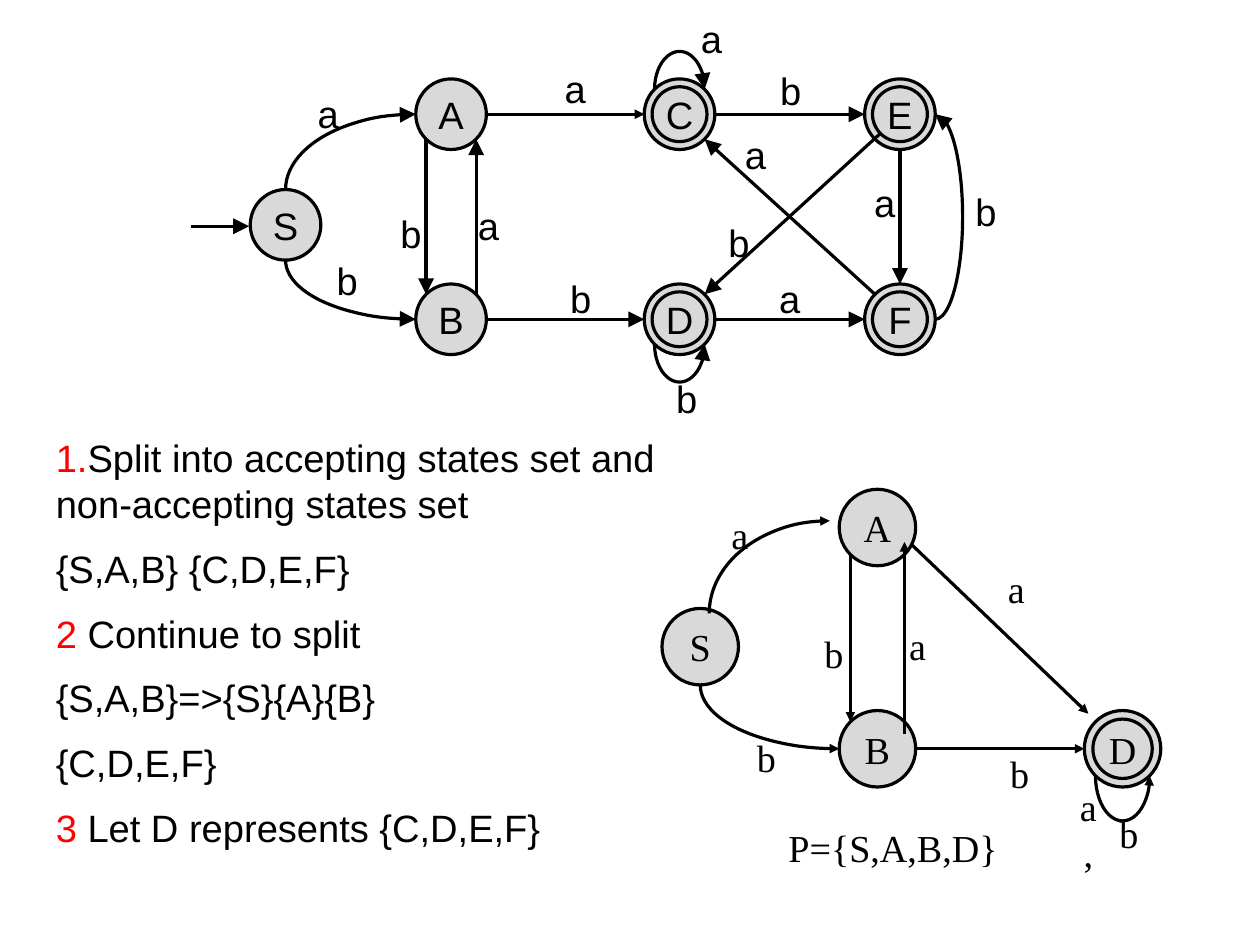
"""Build the slide on minimising a finite automaton: full graph, steps, reduced graph."""
from lxml.etree import SubElement
from pptx import Presentation
from pptx.dml.color import RGBColor
from pptx.enum.shapes import MSO_CONNECTOR as Link, MSO_SHAPE as Shape
from pptx.enum.text import MSO_ANCHOR as Anchor, MSO_AUTO_SIZE as AutoSize, PP_ALIGN as Align
from pptx.oxml.ns import qn
from pptx.util import Cm, Pt

BLACK, RED, GREY = "000000", "FF0000", "D9D9D9"

FULL = {
    "font": "Arial", "size": 1.57, "ring": 1.22, "head": "lg", "accepting": "CDEF",
    "states": {"S": (6.35, 5), "A": (10.03, 2.54), "B": (10.03, 7.1),
               "C": (15.11, 2.54), "D": (15.11, 7.1),
               "E": (20.01, 2.54), "F": (20.01, 7.1)},
    "lines": [((4.24, 5.03), (5.54, 5.03)), ("B ne", "A se"), ("A sw", "B nw"),
              ("B e", "D w"), ("D e", "F w"), ("C e", "E w"), ("E s", "F n"),
              ("F nw", "C se"), ((19.56, 2.98), "D ne")],
    "small lines": [("A e", "C w")],
    "bends": [("S n", "A w", "up"), ("S s", "B w", "down")],
    "loops": [("C nw", "C ne", "over", 0.84), ("D sw", "D se", "under", 0.84),
              ("F e", "E e", "right", 0.61)],
    "labels": {"a": [(15.82, 0.86), (7.3, 2.51), (10.86, 5), (12.79, 1.96),
                     (19.67, 4.5), (17.56, 6.63), (16.8, 3.43)],
               "b": [(21.92, 4.7), (7.72, 6.23), (9.14, 5.18), (12.91, 6.63),
                     (17.58, 2.01), (15.27, 8.85), (16.43, 5.38)]},
}
REDUCED = {
    "font": "Times New Roman", "size": 1.7, "ring": 1.32, "head": "med", "accepting": "D",
    "states": {"S": (15.57, 14.38), "A": (19.51, 11.73), "B": (19.51, 16.65),
               "D": (24.96, 16.65)},
    "lines": [((20.11, 16.32), (20.11, 12.05)), ("A sw", "B nw"), ("B e", "D w"),
              ((20.27, 12.11), (24.2, 15.87))],
    "small lines": [],
    "bends": [((15.77, 13.64), (18.45, 11.58), "up"), ("S s", "B w", "down")],
    "loops": [("D sw", "D se", "under", 1)],
    "labels": {"a": [(16.45, 11.88), (20.4, 14.35), (22.6, 13.08)],
               "b": [(17.04, 16.83), (18.54, 14.53), (22.67, 17.2), (25.1, 18.52)],
               "a,": [(24.2, 18.44)]},
}
STEPS = [("1.", "Split into accepting states set and non-accepting states set"),
         ("", "{S,A,B} {C,D,E,F}"),
         ("2 ", "Continue to split"),
         ("", "{S,A,B}=>{S}{A}{B}"),
         ("", "{C,D,E,F}"),
         ("3", " Let D represents {C,D,E,F}")]
RESULT = "P={S,A,B,D}"

SITES = {"n": (0, -1), "s": (0, 1), "e": (1, 0), "w": (-1, 0),
         "ne": (0.71, -0.71), "nw": (-0.71, -0.71), "se": (0.71, 0.71), "sw": (-0.71, 0.71)}
SWEEPS = {"up": (180, 270, "tailEnd"), "down": (90, 180, "headEnd"),
          "over": (180, 0, "tailEnd"), "under": (0, 180, "headEnd"),
          "right": (270, 90, "headEnd")}


def rgb(color):
    return RGBColor.from_string(color)


def style(run, font, color=BLACK):
    run.font.name, run.font.size = font, Pt(24)
    run.font.color.rgb = rgb(color)


def write(frame, text, font, align=Align.CENTER):
    frame.text = text
    frame.paragraphs[0].alignment = align
    style(frame.paragraphs[0].runs[0], font)


def around(center, width, height):
    x, y = center
    return Cm(x - width / 2), Cm(y - height / 2), Cm(width), Cm(height)


def circle(slide, center, size):
    disc = slide.shapes.add_shape(Shape.OVAL, *around(center, size, size))
    disc.shadow.inherit = False
    disc.fill.solid()
    disc.fill.fore_color.rgb = rgb(GREY)
    disc.line.color.rgb, disc.line.width = rgb(BLACK), Pt(2)
    return disc


def add_arrowhead(edge, end, size):
    edge.line.color.rgb, edge.line.width = rgb(BLACK), Pt(2)
    outline = edge.element.spPr.find(qn("a:ln"))
    SubElement(outline, qn(f"a:{end}"), type="triangle", w=size, len=size)


def straight(slide, start, end, head):
    edge = slide.shapes.add_connector(Link.STRAIGHT, *map(Cm, start + end))
    add_arrowhead(edge, "tailEnd", head)
    SubElement(edge.element.spPr, qn("a:effectLst"))


def arc(slide, center, rx, ry, turn, head):
    first, last, end = SWEEPS[turn]
    edge = slide.shapes.add_shape(Shape.ARC, *around(center, 2 * rx, 2 * ry))
    edge.adjustments[0], edge.adjustments[1] = first * 0.6, last * 0.6
    edge.shadow.inherit = False
    edge.fill.background()
    add_arrowhead(edge, end, head)


def draw_graph(slide, graph):
    font, head, states = graph["font"], graph["head"], graph["states"]

    def locate(place):
        if isinstance(place, tuple):
            return place
        state, site = place.split()
        return tuple(c + d * graph["size"] / 2 for c, d in zip(states[state], SITES[site]))

    for state, center in states.items():
        disc = circle(slide, center, graph["size"])
        if state in graph["accepting"]:
            disc = circle(slide, center, graph["ring"])
        frame = disc.text_frame
        frame.word_wrap, frame.vertical_anchor = False, Anchor.MIDDLE
        write(frame, state, font)

    for key, size in (("lines", head), ("small lines", "med")):
        for start, end in graph[key]:
            straight(slide, locate(start), locate(end), size)
    for start, end, turn in graph["bends"]:
        (x1, y1), (x2, y2) = locate(start), locate(end)
        arc(slide, (x2, y1), x2 - x1, abs(y2 - y1), turn, head)
    for start, end, turn, depth in graph["loops"]:
        (x1, y1), (x2, y2) = locate(start), locate(end)
        middle = (x1 + x2) / 2, (y1 + y2) / 2
        radii = (depth, abs(y2 - y1) / 2) if turn == "right" else ((x2 - x1) / 2, depth)
        arc(slide, middle, *radii, turn, head)

    for symbol, centers in graph["labels"].items():
        for center in centers:
            frame = slide.shapes.add_textbox(*around(center, 1, 1.27)).text_frame
            frame.word_wrap, frame.vertical_anchor = True, Anchor.MIDDLE
            write(frame, symbol, font)


def set_margins(frame):
    frame.word_wrap, frame.auto_size = True, AutoSize.NONE
    frame.margin_left = frame.margin_right = Cm(0.28)
    frame.margin_top = frame.margin_bottom = Cm(0.15)


def write_steps(body):
    body.left, body.top, body.width, body.height = Cm(0.96), Cm(9.52), Cm(14.94), Cm(10.03)
    frame = body.text_frame
    set_margins(frame)
    for index, (number, step) in enumerate(STEPS):
        line = frame.add_paragraph() if index else frame.paragraphs[0]
        line.space_before = Pt(12 if index else 0)
        for text, color in ((number, RED), (step, BLACK)):
            if text:
                run = line.add_run()
                run.text = text
                style(run, "Arial", color)
        layout = line._p.get_or_add_pPr()
        layout.set("marL", "0")
        layout.set("indent", "0")
        SubElement(layout, qn("a:buNone"))


def main():
    deck = Presentation()
    deck.slide_width, deck.slide_height = Pt(794.13), Pt(595)
    slide = deck.slides.add_slide(deck.slide_layouts[1])
    title = slide.shapes.title.element
    title.getparent().remove(title)

    draw_graph(slide, REDUCED)
    write_steps(slide.placeholders[1])
    result = slide.shapes.add_textbox(Cm(17.25), Cm(18.19), Cm(9.27), Cm(1.32))
    set_margins(result.text_frame)
    write(result.text_frame, RESULT, "Times New Roman", Align.LEFT)
    draw_graph(slide, FULL)
    deck.save("out.pptx")


if __name__ == "__main__":
    main()
